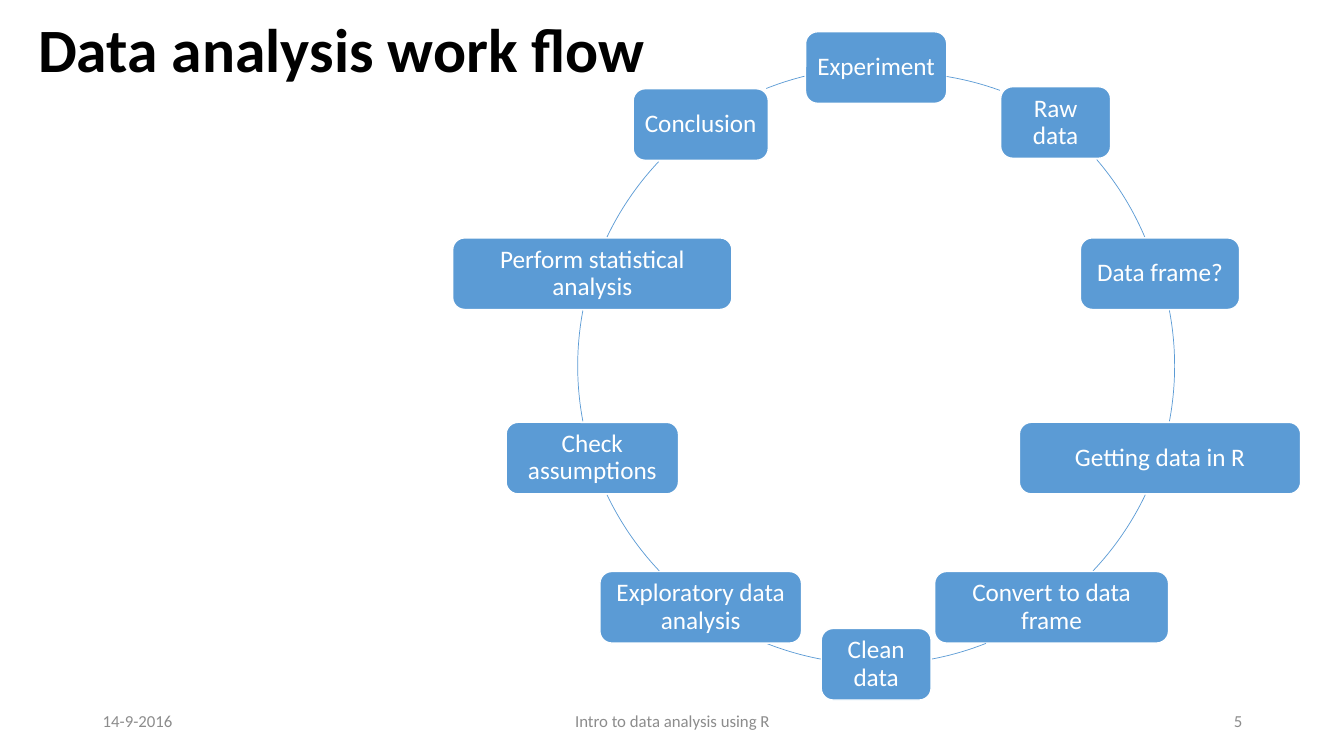
"""Build the data analysis work flow slide with its cycle of steps."""
from math import cos, radians, sin

from pptx import Presentation
from pptx.dml.color import RGBColor
from pptx.enum.shapes import MSO_SHAPE
from pptx.enum.text import MSO_ANCHOR, PP_ALIGN
from pptx.util import Inches, Pt

ARC, ROUND = MSO_SHAPE.ARC, MSO_SHAPE.ROUNDED_RECTANGLE
MIDDLE = MSO_ANCHOR.MIDDLE
LEFT, CENTER, RIGHT = PP_ALIGN.LEFT, PP_ALIGN.CENTER, PP_ALIGN.RIGHT
BLACK = RGBColor(0x00, 0x00, 0x00)
WHITE = RGBColor(0xFF, 0xFF, 0xFF)
BLUE = RGBColor(0x5B, 0x9B, 0xD5)
GRAY = RGBColor(0x8C, 0x8C, 0x8C)
FONT = "Calibri"

TITLE = "Data analysis work flow"
FOOTER = [
    ("Intro to data analysis using R", 4.42, 4.5, CENTER),
    ("5", 9.42, 3, RIGHT),
    ("14-9-2016", 0.92, 3, LEFT),
]
STEPS = [
    ("Experiment", 1.4),
    ("Raw data", 1.09),
    ("Data frame?", 1.58),
    ("Getting data in R", 2.79),
    ("Convert to data frame", 2.32),
    ("Clean data", 1.09),
    ("Exploratory data analysis", 2),
    ("Check assumptions", 1.71),
    ("Perform statistical analysis", 2.77),
    ("Conclusion", 1.34),
]
ARCS = [
    (9.3, 19.9), (49.4, 67), (79.3, 100.7), (115.6, 133.4), (158.4, 169.3),
    (190.7, 201.6), (226.6, 244.4), (259.3, 280.7), (295.6, 313.2),
    (338.4, 346.1),
]
BOX_SHIFT = {1: (0.04, -0.02)}
ARC_SHIFT = {0: (0.22, 0.05), 1: (-0.06, -0.12)}
MID_X, MID_Y, RADIUS = 8.69, 3.63, 2.96
BOX_H, INSET = 0.71, 0.07


def write(shape, text, size, color, align=LEFT, bold=False, space=None):
    frame = shape.text_frame
    frame.word_wrap = True
    frame.vertical_anchor = MIDDLE
    para = frame.paragraphs[0]
    para.alignment = align
    para.line_spacing = space
    run = para.add_run()
    run.text = text
    font = run.font
    font.name, font.size, font.bold = FONT, Pt(size), bold
    font.color.rgb = color


def add_text(slide, box, *style):
    write(slide.shapes.add_textbox(*map(Inches, box)), *style)


def add_shape(slide, kind, mid, size, color, width):
    (x, y), (w, h) = mid, size
    box = (x - w / 2, y - h / 2, w, h)
    shape = slide.shapes.add_shape(kind, *map(Inches, box))
    shape.shadow.inherit = False
    shape.line.color.rgb = color
    shape.line.width = Pt(width)
    return shape


def add_step(slide, index, label, width):
    angle = radians(index * 360 / len(STEPS))
    dx, dy = BOX_SHIFT.get(index, (0, 0))
    mid = (MID_X + RADIUS * sin(angle) + dx, MID_Y - RADIUS * cos(angle) + dy)
    box = add_shape(slide, ROUND, mid, (width, BOX_H), WHITE, 1)
    box.fill.solid()
    box.fill.fore_color.rgb = BLUE
    frame = box.text_frame
    frame.margin_left = frame.margin_right = Inches(INSET)
    frame.margin_top = frame.margin_bottom = Inches(INSET)
    write(box, label, 18, WHITE, CENTER, False, 0.9)


def add_arc(slide, index, angles):
    dx, dy = ARC_SHIFT.get(index, (0, 0))
    size = (2 * RADIUS, 2 * RADIUS)
    arc = add_shape(slide, ARC, (MID_X + dx, MID_Y + dy), size, BLUE, 0.5)
    arc.fill.background()
    for spot, angle in enumerate(angles):
        arc.adjustments[spot] = (angle - 90) % 360 * 0.6


def main():
    deck = Presentation()
    deck.slide_width, deck.slide_height = Inches(13.33), Inches(7.5)
    slide = deck.slides.add_slide(deck.slide_layouts[6])
    add_text(slide, (0.28, -0.2, 11.5, 1.45), TITLE, 44, BLACK, LEFT, True, 0.9)
    for index, (step, angles) in enumerate(zip(STEPS, ARCS)):
        add_step(slide, index, *step)
        add_arc(slide, index, angles)
    for text, left, width, align in FOOTER:
        add_text(slide, (left, 6.95, width, 0.4), text, 12, GRAY, align)
    deck.save("out.pptx")


if __name__ == "__main__":
    main()
